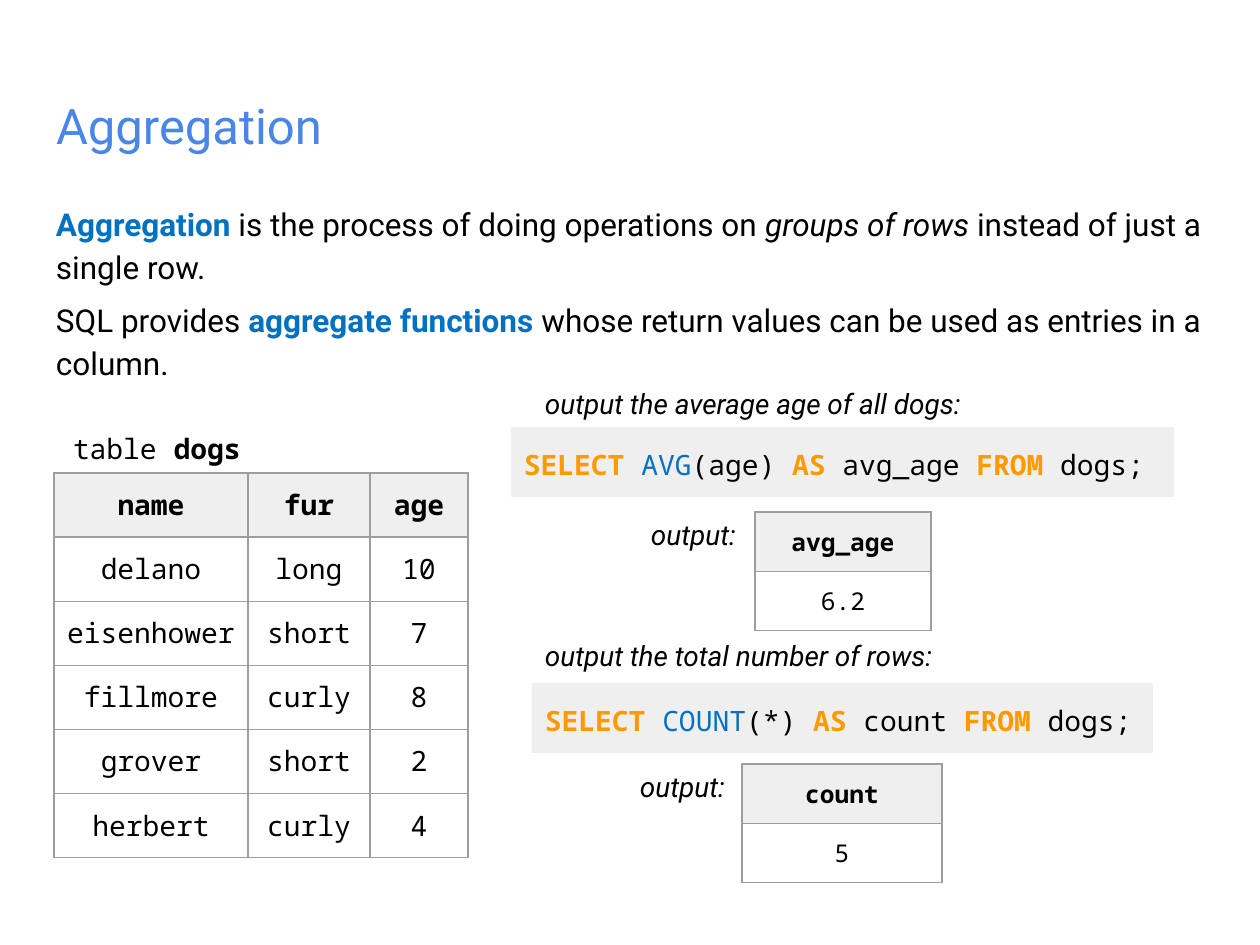
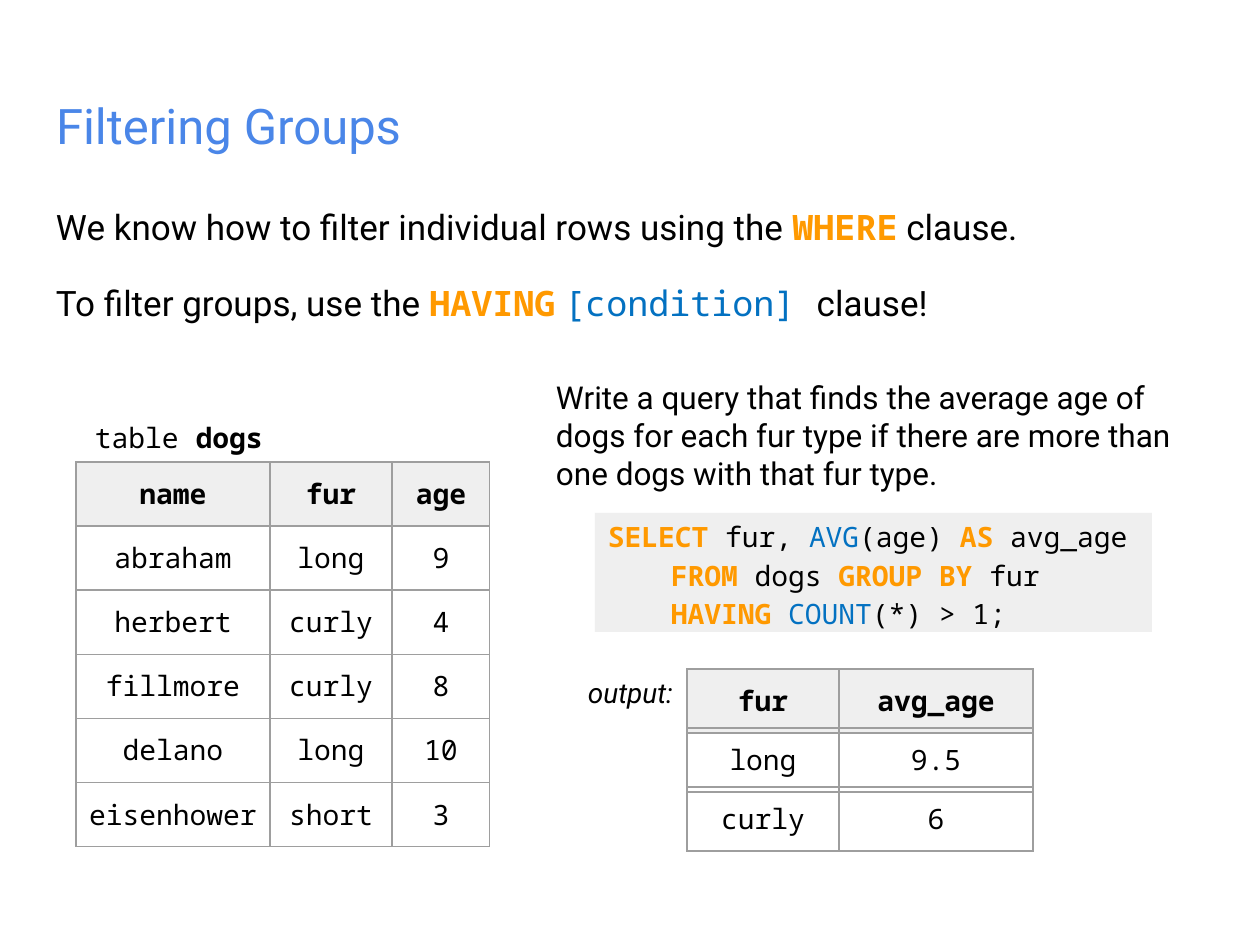
"""Builds two slides on SQL aggregation and filtering groups."""
from dataclasses import dataclass

from lxml.etree import SubElement
from pptx import Presentation
from pptx.dml.color import RGBColor
from pptx.enum.shapes import MSO_SHAPE
from pptx.enum.text import MSO_ANCHOR, MSO_AUTO_SIZE, PP_ALIGN
from pptx.oxml.ns import qn
from pptx.util import Emu, Pt

EMU_PER_PX = 914400 / 126
SANS, MONO = "Roboto", "Noto Sans Mono"
BLACK, BLUE, ORANGE, TITLE_BLUE = "000000", "0371C1", "FF9900", "4A86E8"
PANEL_GREY, BORDER_GREY = "EFEFEF", "9E9E9E"
INSET, ROW_HEIGHT, CODE_INDENT = 13, 53, 63
DOG_COLUMNS = [194, 122, 98]


@dataclass
class TextStyle:
    """Look of one run of text."""
    font: str = SANS
    color: str = BLACK
    bold: bool = False
    italic: bool = False


PLAIN = TextStyle()
ITALIC = TextStyle(italic=True)
STRONG = TextStyle(color=BLUE, bold=True)
TITLE = TextStyle(color=TITLE_BLUE)
CODE = TextStyle(font=MONO)
CODE_BOLD = TextStyle(font=MONO, bold=True)
KEYWORD = TextStyle(font=MONO, color=ORANGE, bold=True)
FUNCTION = TextStyle(font=MONO, color=BLUE)


def px(length):
    """Turn pixels into EMU."""
    return Emu(round(length * EMU_PER_PX))


def rgb(color):
    """Turn a hex string into a colour."""
    return RGBColor.from_string(color)


class Deck:
    """Presentation with a current slide and one method per kind of element."""

    def __init__(self):
        """Start an empty presentation of the right size."""
        self.presentation = Presentation()
        self.presentation.slide_width = px(1260)
        self.presentation.slide_height = px(945)
        self.slide = None

    def add_slide(self, title):
        """Add a slide and style its title."""
        self.slide = self.presentation.slides.add_slide(self.presentation.slide_layouts[5])
        shape = self.slide.shapes.title
        shape.left, shape.top, shape.width, shape.height = map(px, (43, 82, 1174, 105))
        self.fill_frame(shape.text_frame, [[(title, TITLE)]], 28)

    def format_run(self, run, style, size):
        """Apply a text style to a run."""
        font = run.font
        font.name, font.size = style.font, Pt(size)
        font.bold, font.italic = style.bold, style.italic
        font.color.rgb = rgb(style.color)

    def fill_frame(self, frame, lines, size, spacing=1.0, anchor=MSO_ANCHOR.TOP):
        """Write lines of styled runs into a text frame."""
        frame.word_wrap = True
        frame.auto_size = MSO_AUTO_SIZE.NONE
        frame.vertical_anchor = anchor
        frame.margin_left = frame.margin_right = px(INSET)
        frame.margin_top = frame.margin_bottom = px(INSET)
        for index, line in enumerate(lines):
            paragraph = frame.add_paragraph() if index else frame.paragraphs[0]
            paragraph.alignment = PP_ALIGN.LEFT
            paragraph.line_spacing = spacing
            for text, style in line:
                run = paragraph.add_run()
                run.text = text
                self.format_run(run, style, size)

    def add_text(self, box, lines, size=16, spacing=1.0):
        """Add a text box."""
        shape = self.slide.shapes.add_textbox(*map(px, box))
        self.fill_frame(shape.text_frame, lines, size, spacing)
        return shape.text_frame

    def add_code(self, box, lines):
        """Add a grey panel of code with indented continuation lines."""
        shape = self.slide.shapes.add_shape(MSO_SHAPE.RECTANGLE, *map(px, box))
        shape.shadow.inherit = False
        shape.fill.solid()
        shape.fill.fore_color.rgb = rgb(PANEL_GREY)
        shape.line.fill.background()
        self.fill_frame(shape.text_frame, lines, 16, 1.15, MSO_ANCHOR.MIDDLE)
        for paragraph in shape.text_frame.paragraphs[1:]:
            paragraph._p.get_or_add_pPr().set("indent", str(px(CODE_INDENT)))

    def add_border(self, cell):
        """Draw a thin grey line on each side of a cell."""
        properties = cell._tc.get_or_add_tcPr()
        for side in ("a:lnL", "a:lnR", "a:lnT", "a:lnB"):
            line = SubElement(properties, qn(side), w=str(Pt(0.75)))
            fill = SubElement(line, qn("a:solidFill"))
            SubElement(fill, qn("a:srgbClr"), val=BORDER_GREY)

    def add_table(self, left, top, widths, rows, size=16, has_header=True):
        """Add a bordered table of centred code text."""
        frame = self.slide.shapes.add_table(
            len(rows), len(widths), px(left), px(top), px(sum(widths)), px(ROW_HEIGHT * len(rows)))
        table = frame.table
        table.first_row, table.horz_banding = has_header, False
        for column, width in zip(table.columns, widths):
            column.width = px(width)
        for row_index, values in enumerate(rows):
            is_header = has_header and row_index == 0
            for column_index, value in enumerate(values):
                cell = table.cell(row_index, column_index)
                cell.margin_left = cell.margin_right = px(INSET)
                cell.margin_top = cell.margin_bottom = px(INSET)
                self.add_border(cell)
                if is_header:
                    cell.fill.solid()
                    cell.fill.fore_color.rgb = rgb(PANEL_GREY)
                else:
                    cell.fill.background()
                cell.text_frame.text = value
                paragraph = cell.text_frame.paragraphs[0]
                paragraph.alignment = PP_ALIGN.CENTER
                self.format_run(paragraph.runs[0], CODE_BOLD if is_header else CODE, size)

    def add_dogs(self, left, top, dogs):
        """Add the dogs table with its caption."""
        self.add_table(left, top, DOG_COLUMNS, [("name", "fur", "age"), *dogs])
        self.add_text((left + 6, top - 54, 268, 42), [[("table ", CODE), ("dogs", CODE_BOLD)]])

    def add_note(self, left, top, text, width=150):
        """Add an italic label."""
        self.add_text((left, top, width, 54), [[(text, ITALIC)]])


def build_aggregation(deck):
    """Build the slide on aggregate functions."""
    deck.add_slide("Aggregation")
    deck.add_text((43, 186, 1174, 108), [[
        ("Aggregation", STRONG), (" is the process of doing operations on ", PLAIN),
        ("groups of rows", ITALIC), (" instead of just a single row.", PLAIN)]], 18, 1.15)
    deck.add_text((43, 282, 1235, 96), [[
        ("SQL provides ", PLAIN), ("aggregate functions", STRONG),
        (" whose return values can be used as entries in a column.", PLAIN)]], 18, 1.15)
    deck.add_dogs(54, 473, [
        ("delano", "long", "10"), ("eisenhower", "short", "7"), ("fillmore", "curly", "8"),
        ("grover", "short", "2"), ("herbert", "curly", "4")])
    examples = [
        ("output the average age of all dogs:", 374, (511, 427, 663, 70),
         "AVG", "(age) ", "avg_age", "6.2", (755, 512, 176), (638, 505)),
        ("output the total number of rows:", 626, (532, 683, 621, 70),
         "COUNT", "(*) ", "count", "5", (742, 764, 200), (627, 757)),
    ]
    for task, task_top, panel, function, argument, alias, value, result, label in examples:
        deck.add_note(532, task_top, task, 539)
        deck.add_code(panel, [[
            ("SELECT ", KEYWORD), (function, FUNCTION), (argument, CODE), ("AS", KEYWORD),
            (f" {alias} ", CODE), ("FROM", KEYWORD), (" dogs;", CODE)]])
        left, top, width = result
        deck.add_table(left, top, [width], [(alias,), (value,)], 14)
        deck.add_note(*label, "output:")


def build_filtering(deck):
    """Build the slide on the HAVING clause."""
    deck.add_slide("Filtering Groups")
    frame = deck.add_text((43, 186, 1174, 149), [
        [("We know how to filter individual rows using the ", PLAIN),
         ("WHERE", KEYWORD), (" clause.", PLAIN)],
        [("To filter groups, use the ", PLAIN), ("HAVING", KEYWORD), (" ", PLAIN),
         ("[condition] ", FUNCTION), ("clause!", PLAIN)]], 20, 1.15)
    frame.paragraphs[1].space_before = Pt(16)
    deck.add_dogs(76, 462, [
        ("abraham", "long", "9"), ("herbert", "curly", "4"), ("fillmore", "curly", "8"),
        ("delano", "long", "10"), ("eisenhower", "short", "3")])
    deck.add_text((543, 365, 673, 105), [[
        ("Write a query that finds the average age of dogs for each fur type "
         "if there are more than one dogs with that fur type.", PLAIN)]], 18)
    deck.add_code((595, 513, 557, 119), [
        [("SELECT ", KEYWORD), ("fur, ", CODE), ("AVG", FUNCTION), ("(age) ", CODE),
         ("AS", KEYWORD), (" avg_age", CODE)],
        [("FROM", KEYWORD), (" dogs ", CODE), ("GROUP BY", KEYWORD), (" fur", CODE)],
        [("HAVING ", KEYWORD), ("COUNT", FUNCTION), ("(*) > 1;", CODE)]])
    results = [("fur", "avg_age"), ("long", "9.5"), ("curly", "6")]
    for index, row in enumerate(results):
        deck.add_table(687, 669 + 59 * index, [152, 194], [row], has_header=index == 0)
    deck.add_note(575, 663, "output:")


def main():
    """Build and save the presentation."""
    deck = Deck()
    build_aggregation(deck)
    build_filtering(deck)
    deck.presentation.save("out.pptx")


if __name__ == "__main__":
    main()
